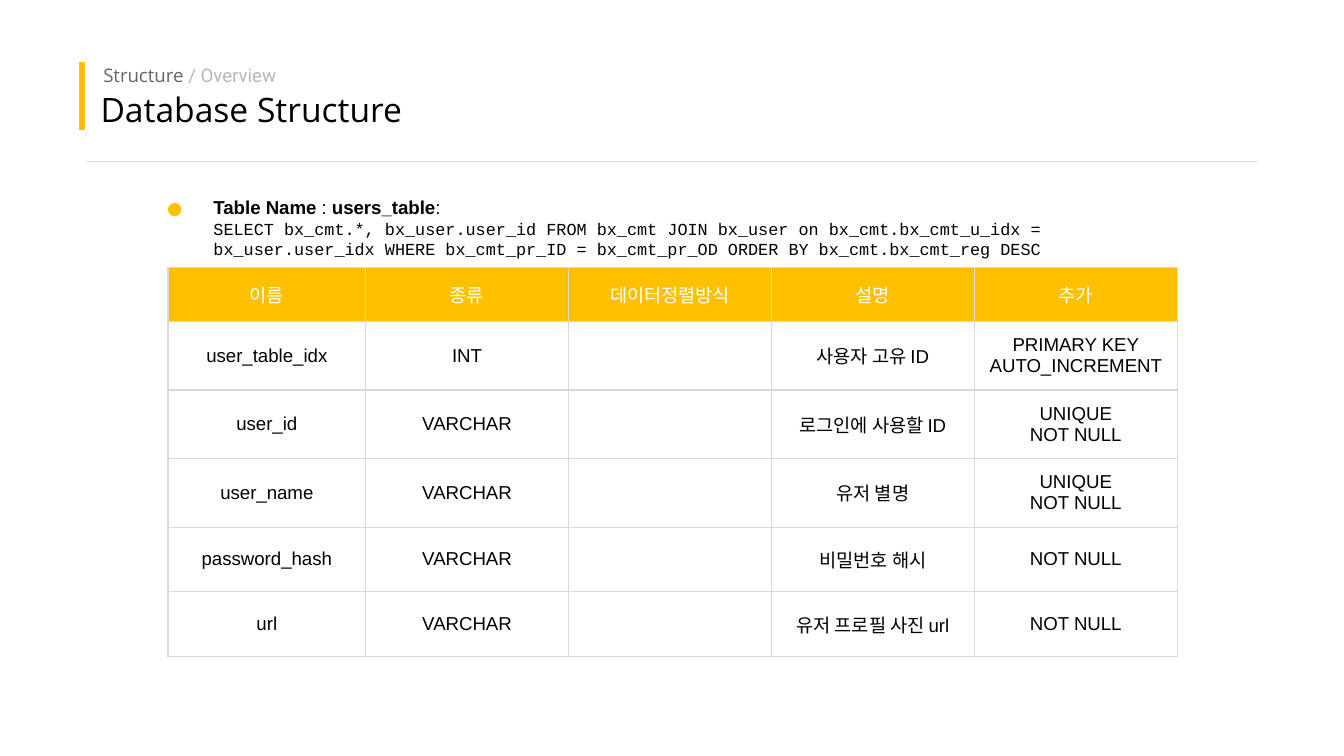
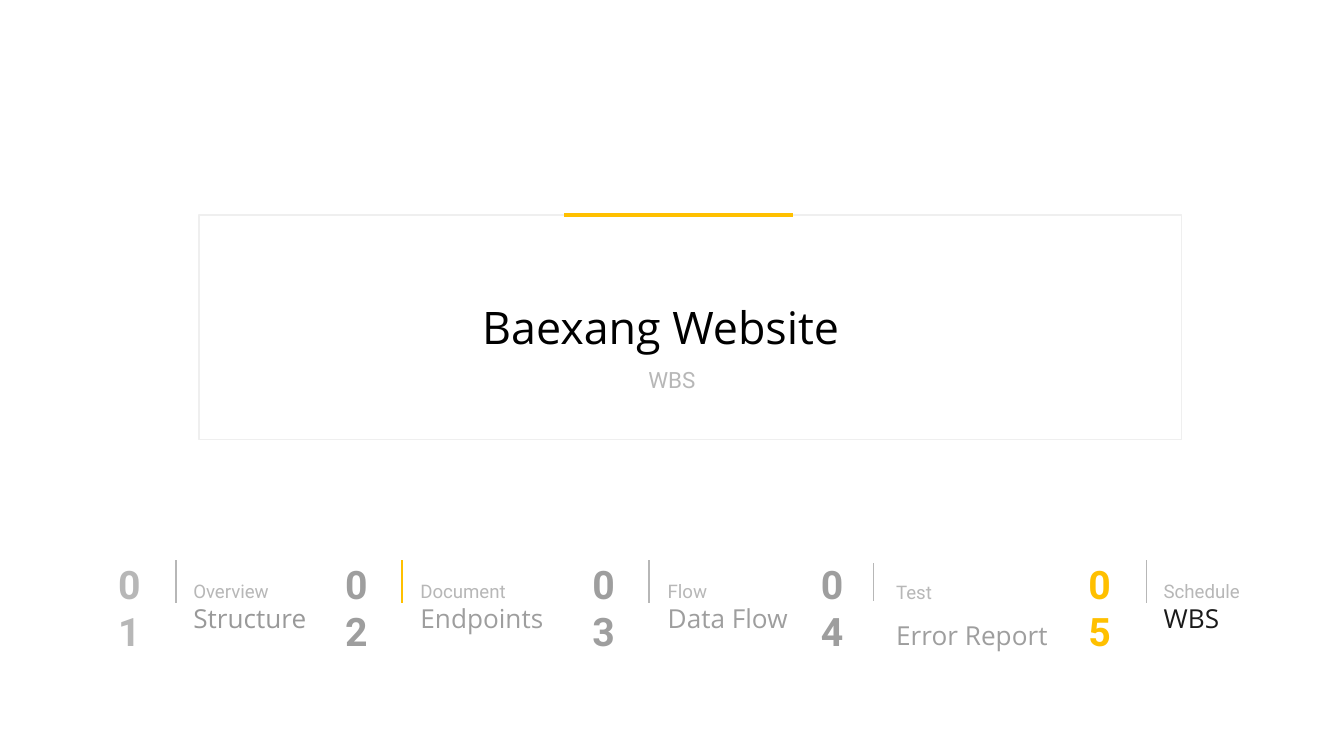
"""Builds the database structure slide and the WBS section slide."""
import pptx
import pptx.dml.color
import pptx.enum.shapes
import pptx.enum.text
import pptx.oxml.ns
import pptx.util
from lxml import etree

Inches = pptx.util.Inches
Pt = pptx.util.Pt
qn = pptx.oxml.ns.qn
ALIGN = pptx.enum.text.PP_ALIGN
ANCHOR = pptx.enum.text.MSO_ANCHOR
SHAPE = pptx.enum.shapes.MSO_SHAPE

COLORS = {
    "gold": "FFC000", "black": "000000", "white": "FFFFFF", "ink": "1A1A1A",
    "dark": "666666", "mid": "999999", "gray": "9E9E9E", "soft": "B7B7B7",
    "rule": "D9D9D9", "pale": "EFEFEF",
}
SANS, ROBO, ARIAL, MONO = "Open Sans", "Roboto", "Arial", "Courier New"


class Deck:
    """Holds the style and the current slide."""

    def __init__(self):
        self.prs = pptx.Presentation()
        self.prs.slide_width = Inches(10)
        self.prs.slide_height = Inches(10) * 9 // 16
        self.slide = None

    def page(self):
        self.slide = self.prs.slides.add_slide(self.prs.slide_layouts[6])

    def tint(self, name):
        return pptx.dml.color.RGBColor.from_string(COLORS[name])

    def style(self, run, size, face, color, bold=False):
        run.font.size = Pt(size)
        run.font.name = face
        run.font.bold = bold
        run.font.color.rgb = self.tint(color)

    def line(self, x1, y1, x2, y2, color, width=0.75):
        kind = pptx.enum.shapes.MSO_CONNECTOR.STRAIGHT
        bar = self.slide.shapes.add_connector(
            kind, Inches(x1), Inches(y1), Inches(x2), Inches(y2))
        bar.line.color.rgb = self.tint(color)
        bar.line.width = Pt(width)
        etree.SubElement(bar._element.spPr, qn("a:effectLst"))

    def shape(self, kind, box, fill=None, edge=None):
        item = self.slide.shapes.add_shape(kind, *map(Inches, box))
        item.shadow.inherit = False
        if fill:
            item.fill.solid()
            item.fill.fore_color.rgb = self.tint(fill)
        else:
            item.fill.background()
        if edge:
            item.line.color.rgb = self.tint(edge)
            item.line.width = Pt(0.75)
        else:
            item.line.fill.background()

    def text(self, box, *paras, grow=False):
        """Adds a box whose paragraphs are lists of (text, size, face, color, bold)."""
        frame = self.slide.shapes.add_textbox(*map(Inches, box)).text_frame
        frame.word_wrap = True
        frame.margin_left = frame.margin_right = Inches(0.1)
        frame.margin_top = frame.margin_bottom = Inches(0.1)
        size = pptx.enum.text.MSO_AUTO_SIZE
        frame.auto_size = size.SHAPE_TO_FIT_TEXT if grow else size.NONE
        frame.vertical_anchor = ANCHOR.TOP if grow else ANCHOR.MIDDLE
        for i, runs in enumerate(paras):
            para = frame.add_paragraph() if i else frame.paragraphs[0]
            for words, *look in runs:
                if words == "\v":
                    para.add_line_break()
                    etree.SubElement(para._p[-1], qn("a:rPr"), sz=str(look[0] * 100))
                    continue
                run = para.add_run()
                run.text = words
                self.style(run, *look)
        return frame.paragraphs

    def cell(self, cell, words, head):
        cell.margin_left = cell.margin_right = Inches(0.1)
        cell.margin_top = cell.margin_bottom = Inches(0.1)
        cell.vertical_anchor = ANCHOR.MIDDLE
        props = cell._tc.get_or_add_tcPr()
        for side in ("lnL", "lnR", "lnT", "lnB"):
            edge = etree.SubElement(props, qn("a:" + side), w=str(Pt(0.75)))
            fill = etree.SubElement(edge, qn("a:solidFill"))
            etree.SubElement(fill, qn("a:srgbClr"), val=COLORS["rule"])
        if head:
            cell.fill.solid()
            cell.fill.fore_color.rgb = self.tint("gold")
        else:
            cell.fill.background()
        if not words:
            para = cell.text_frame.paragraphs[0]
            end = etree.SubElement(para._p, qn("a:endParaRPr"), sz="1800")
            etree.SubElement(end, qn("a:latin"), typeface=ARIAL)
            return
        cell.text_frame.text = words
        for para in cell.text_frame.paragraphs:
            para.alignment = ALIGN.CENTER
            for run in para.runs:
                self.style(run, 10, ARIAL, "white" if head else "black")

    def table(self, left, top, cols, high, rows):
        grid = self.slide.shapes.add_table(
            len(rows), len(cols), Inches(left), Inches(top),
            Inches(sum(cols)), Inches(high * len(rows))).table
        grid.first_row = grid.horz_banding = False
        for col, wide in zip(grid.columns, cols):
            col.width = Inches(wide)
        for r, row in enumerate(rows):
            grid.rows[r].height = Inches(high)
            for c, words in enumerate(row):
                self.cell(grid.cell(r, c), words, r == 0)

    def title(self, title, part, topic):
        self.line(0.61, 0.46, 0.61, 0.97, "gold", 3)
        self.text((0.65, 0.56, 9.1, 0.5), [(title, 18, SANS, "black")])
        crumb = self.text((0.67, 0.43, 4.49, 0.23), [
            (part + " ", 10, SANS, "dark"), ("/ " + topic, 10, ROBO, "soft")])[0]
        crumb.line_spacing = 1.15
        crumb.space_after = Pt(12)
        self.line(0.64, 1.2, 9.36, 1.2, "rule")

    def step(self, num, x, bar, wide, trim, topic, name, tones):
        """Adds one numbered step of the agenda strip."""
        first, rule, last = tones
        self.text((x, 4.07, 0.52, 0.56), [(num, 21, ROBO, first, True)], grow=True)
        self.line(bar, 4.17 + trim, bar, 4.49 - trim, rule)
        paras = self.text(
            (x + 0.56, 4.13 + trim / 2, wide, 0.69),
            [(topic, 10, ROBO, "soft")], [(name, 14, SANS, last)], grow=True)
        paras[0].line_spacing = 1.5
        if trim:
            paras[1].line_spacing = 1.5


ROWS = [
    ("이름", "종류", "데이터정렬방식", "설명", "추가"),
    ("user_table_idx", "INT", "", "사용자 고유 ID", "PRIMARY KEY\nAUTO_INCREMENT"),
    ("user_id", "VARCHAR", "", "로그인에 사용할 ID", "UNIQUE\nNOT NULL"),
    ("user_name", "VARCHAR", "", "유저 별명", "UNIQUE\nNOT NULL"),
    ("password_hash", "VARCHAR", "", "비밀번호 해시", "NOT NULL"),
    ("url", "VARCHAR", "", "유저 프로필 사진 url", "NOT NULL"),
]
QUERY = ("SELECT bx_cmt.*, bx_user.user_id FROM bx_cmt JOIN bx_user on "
         "bx_cmt.bx_cmt_u_idx = bx_user.user_idx WHERE bx_cmt_pr_ID = "
         "bx_cmt_pr_OD ORDER BY bx_cmt.bx_cmt_reg DESC")
STEPS = [
    (0.78, 1.31, 1.47, 0, "Overview", "Structure", ("soft", "soft", "mid")),
    (2.47, 2.99, 1.47, 0, "Document", "Endpoints", ("gray", "gold", "gray")),
    (4.31, 4.83, 1.23, 0, "Flow", "Data Flow", ("gray", "soft", "gray")),
    (6.01, 6.5, 1.47, 0.02, "Test", "Error Report", ("gray", "soft", "gray")),
    (8, 8.53, 1.28, 0, "Schedule", "WBS", ("gold", "soft", "ink")),
]


def schema(deck):
    """Draws the users table slide."""
    deck.page()
    deck.title("Database Structure", "Structure", "Overview")
    deck.table(1.25, 1.99, [1.47] + [1.51] * 4, 0.39, ROWS)
    deck.shape(SHAPE.OVAL, (1.25, 1.51, 0.1, 0.1), fill="gold")
    plain = (10, ARIAL, "black")
    deck.text((1.49, 1.36, 7.26, 0.67), [
        ("Table Name", *plain, True), (" : ", *plain),
        ("users_table", *plain, True), (":", *plain), ("\v", 10),
        (QUERY, 9, MONO, "black")], grow=True)


def section(deck):
    """Draws the section slide with its agenda strip."""
    deck.page()
    deck.shape(SHAPE.RECTANGLE, (1.48, 1.6, 7.31, 1.67), edge="pale")
    deck.line(4.2, 1.6, 5.9, 1.6, "gold", 2.25)
    head = deck.text((1.73, 2.17, 6.54, 0.52),
                     [("Baexang Website", 24, SANS, "black")])[0]
    props = head._p.get_or_add_pPr()
    props.set("marL", str(Inches(1)))
    props.set("indent", str(Inches(0.76)))
    sub = deck.text((3.12, 2.69, 3.76, 0.28), [("WBS", 12, ROBO, "soft")])[0]
    sub.alignment = ALIGN.CENTER
    sub.line_spacing = 0.95
    sub.space_after = Pt(12)
    for i, step in enumerate(STEPS, 1):
        deck.step(f"{i:02}", *step)


def main():
    """Builds and saves the deck."""
    deck = Deck()
    schema(deck)
    section(deck)
    deck.prs.save("out.pptx")


if __name__ == "__main__":
    main()
